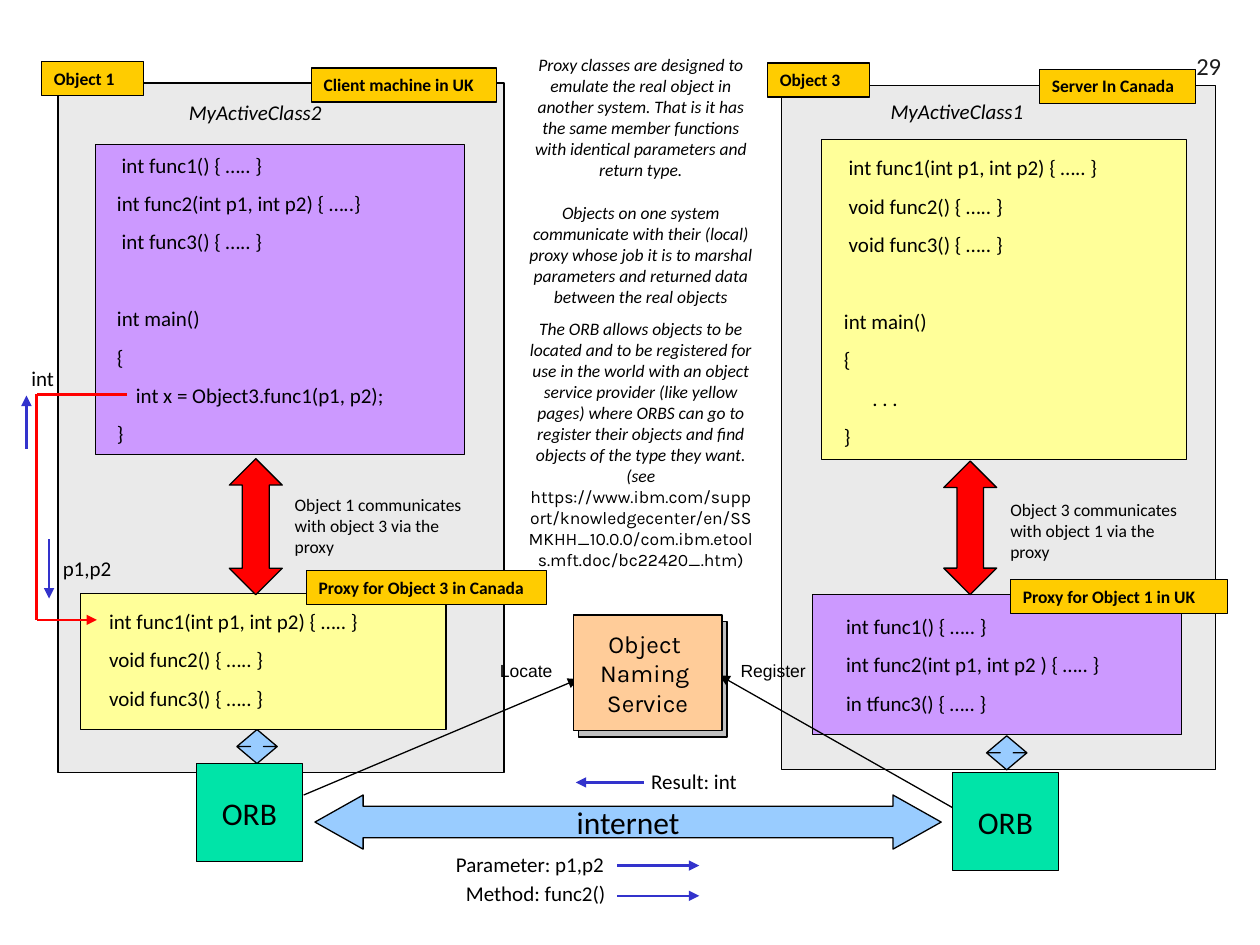
from pptx import Presentation, util as u
from pptx.dml.color import RGBColor
from pptx.enum import shapes, text
from pptx.oxml.ns import qn
from lxml import etree

BLACK = RGBColor(0x00, 0x00, 0x00)
INK = RGBColor(0x1C, 0x1C, 0x1C)
GREY = RGBColor(0xEA, 0xEA, 0xEA)
SHADE = RGBColor(0xC0, 0xC0, 0xC0)
PURPLE = RGBColor(0xCC, 0x99, 0xFF)
YELLOW = RGBColor(0xFF, 0xFF, 0x99)
GOLD = RGBColor(0xFF, 0xCC, 0x00)
SKY = RGBColor(0x99, 0xCC, 0xFF)
RED = RGBColor(0xFF, 0x00, 0x00)
GREEN = RGBColor(0x00, 0xE4, 0xA8)
BLUE = RGBColor(0x33, 0x33, 0xCC)
PEACH = RGBColor(0xFF, 0xCC, 0x99)

COLUMNS, ROWS = 100, 75
SHAPE = shapes.MSO_SHAPE
LEFT, CENTER, RIGHT = text.PP_ALIGN.LEFT, text.PP_ALIGN.CENTER, text.PP_ALIGN.RIGHT
TOP, MIDDLE, BOTTOM = text.MSO_ANCHOR.TOP, text.MSO_ANCHOR.MIDDLE, text.MSO_ANCHOR.BOTTOM


class Diagram:
    """Style and current slide; all lengths are in grid columns and rows."""

    font = "Calibri"
    spacing = 0.625  # space before a paragraph, as a share of the text size

    def __init__(self, presentation):
        self.column = presentation.slide_width / COLUMNS
        self.row = presentation.slide_height / ROWS
        self.slide = presentation.slides.add_slide(presentation.slide_layouts[6])

    def place(self, *lengths):
        units = (self.column, self.row) * 2
        return [u.Emu(round(length * unit)) for length, unit in zip(lengths, units)]

    def style(self, font, size, name=None, color=BLACK, bold=False, italic=False):
        font.name, font.size = name or self.font, u.Pt(size)
        font.bold, font.italic = bold, italic
        font.color.rgb = color

    def fill_text(self, shape, lines, size, align=LEFT, anchor=TOP, wrap=True, gaps=None, **look):
        frame = shape.text_frame
        frame.word_wrap, frame.vertical_anchor = wrap, anchor
        if anchor == TOP:
            frame.auto_size = text.MSO_AUTO_SIZE.SHAPE_TO_FIT_TEXT
        for index, line in enumerate(lines):
            paragraph = frame.add_paragraph() if index else frame.paragraphs[0]
            paragraph.text = line
            paragraph.alignment = align
            if index:
                paragraph.space_before = u.Pt((gaps or {}).get(index, size * self.spacing))
            self.style(paragraph.font, size, **look)

    def label(self, area, *lines, size=12, **options):
        shape = self.slide.shapes.add_textbox(*self.place(*area))
        self.fill_text(shape, lines, size, **options)
        return shape

    def box(self, area, fill, kind=SHAPE.RECTANGLE, adjustments=()):
        shape = self.slide.shapes.add_shape(kind, *self.place(*area))
        shape.shadow.inherit = False
        shape.fill.solid()
        shape.fill.fore_color.rgb = fill
        shape.line.color.rgb, shape.line.width = BLACK, u.Pt(0.75)
        for index, value in enumerate(adjustments):
            shape.adjustments[index] = value
        return shape

    def tag(self, left, top, width, caption):
        self.fill_text(self.box((left, top, width, 2.7), GOLD), [caption], 10, bold=True)

    def node(self, area, fill, caption, size=18, name=None, **options):
        shape = self.box(area, fill, **options)
        self.fill_text(shape, [caption], size, CENTER, MIDDLE, wrap=False, name=name)
        return shape

    def line(self, start, end, color, width=1.5, arrow=True):
        connector = self.slide.shapes.add_connector(
            shapes.MSO_CONNECTOR.STRAIGHT, *self.place(*start, *end))
        connector.line.color.rgb, connector.line.width = color, u.Pt(width)
        properties = connector._element.spPr
        if arrow:
            etree.SubElement(properties.find(qn("a:ln")), qn("a:tailEnd"), type="triangle")
        etree.SubElement(properties, qn("a:effectLst"))
        return connector


def main():
    presentation = Presentation()
    presentation.slide_width, presentation.slide_height = u.Inches(10), u.Inches(7.5)
    diagram = Diagram(presentation)
    diagram.label((77.1, 1.9, 20.8, 5), "29", size=14, align=RIGHT, anchor=BOTTOM, color=INK)

    # Machines
    for area in ((62, 6.8, 34.5, 54.3), (4.6, 6.6, 35.4, 54.7)):
        diagram.box(area, GREY)

    # Real objects; the gap leaves one line free before main()
    main_gap = {3: 29.6}
    diagram.box((7.6, 11.5, 29.3, 24.6), PURPLE)
    diagram.label((8.3, 11.6, 34.2, 24.3),
                  " int func1() { ….. }", "int func2(int p1, int p2) { …..}",
                  " int func3() { ….. }", "int main()", "{",
                  "    int x = Object3.func1(p1, p2);", "}", gaps=main_gap)
    diagram.box((65.2, 11.1, 29, 25.4), YELLOW)
    diagram.label((66, 11.8, 31.3, 24.3),
                  " int func1(int p1, int p2) { ….. }", " void func2() { ….. }",
                  " void func3() { ….. }", "int main()", "{", "      . . .", "}", gaps=main_gap)
    diagram.label((14, 7.4, 19, 3), "MyActiveClass2", italic=True)
    diagram.label((69.7, 7.3, 19, 3), "MyActiveClass1", italic=True)

    # Proxies
    diagram.box((6.4, 47.1, 29, 10.8), YELLOW)
    diagram.label((7.3, 47.8, 31.3, 9.1), " int func1(int p1, int p2) { ….. }",
                  " void func2() { ….. }", " void func3() { ….. }")
    diagram.box((64.5, 47.2, 29.3, 11.1), PURPLE)
    diagram.label((65.8, 48.2, 29.9, 9.1), " int func1() { ….. }",
                  " int func2(int p1, int p2 ) { ….. }", " in tfunc3() { ….. }")

    # Name tags
    for tag in ((60.9, 5, 8.1, "Object 3"), (3.3, 4.9, 8.1, "Object 1"),
                (80.2, 46, 17.2, "Proxy for Object 1 in UK"),
                (24.3, 45.3, 19.1, "Proxy for Object 3 in Canada"),
                (24.7, 5.4, 14.7, "Client machine in UK"),
                (82.5, 5.5, 12.4, "Server In Canada")):
        diagram.tag(*tag)

    # Links between objects, proxies and brokers
    diagram.node((25, 63.1, 49.7, 4.3), SKY, "internet",
                 kind=SHAPE.LEFT_RIGHT_ARROW, adjustments=(0.58, 0.89))
    for area, fill, adjustments in (((18.2, 36.4, 4.2, 10.8), RED, (0.5, 0.51)),
                                    ((74.9, 36.6, 4.2, 10.6), RED, (0.5, 0.5)),
                                    ((18.8, 57.9, 3.2, 2.7), SKY, (0.35, 0.32)),
                                    ((78.3, 58.4, 3.2, 2.7), SKY, (0.35, 0.32))):
        diagram.box(area, fill, SHAPE.UP_DOWN_ARROW, adjustments)
    for area, own, other in (((22.4, 38.7, 15.9, 6), 1, 3), ((79.2, 39.1, 15.4, 6), 3, 1)):
        diagram.label(area, f"Object {own} communicates with object {other} via the proxy", size=10)
    for left, top in ((15.6, 60.6), (75.6, 61.3)):
        diagram.node((left, top, 8.4, 7.8), GREEN, "ORB")

    # Explanation, ending in a web address
    explanation = diagram.label(
        (40.8, 3.8, 20.1, 42),
        "Proxy classes are designed to emulate the real object in another system. That is it has "
        "the same member functions with identical parameters and return type.",
        "Objects on one system communicate with their (local) proxy whose job it is to marshal "
        "parameters and returned data between the real objects",
        "The ORB allows objects to be located and to be registered for use in the world with an "
        "object service provider (like yellow pages) where ORBS can go to register their objects "
        "and find objects of the type they want. (see ",
        size=10, align=CENTER, italic=True, gaps={1: 12.2})
    address = explanation.text_frame.paragraphs[-1].add_run()
    address.text = ("https://www.ibm.com/support/knowledgecenter/en/"
                    "SSMKHH_10.0.0/com.ibm.etools.mft.doc/bc22420_.htm)")
    diagram.style(address.font, 10, name="Karla")

    # Path of the call from object 1 to its proxy
    diagram.line((10.1, 31.3), (2.9, 31.3), RED, arrow=False)
    diagram.line((2.9, 31.3), (2.9, 49.2), RED, arrow=False)
    diagram.line((2.9, 49.2), (7.7, 49.2), RED)

    # Values that travel, each with its arrow
    for area, caption, start, end in (
            ((4, 43.6, 6.7, 3), "p1,p2", (3.9, 42.8), (3.9, 47.5)),
            ((1.5, 28.5, 5.9, 3), "int", (2.1, 35.6), (2.1, 31.4)),
            ((35.2, 67.1, 14.8, 3), "Parameter: p1,p2", (49, 68.7), (55.5, 68.7)),
            ((50.7, 60.5, 10.1, 3), "Result: int", (51.1, 62.1), (45.7, 62.1)),
            ((36, 69.4, 14.7, 3), "Method: func2()", (49, 71.1), (55.5, 71.1))):
        diagram.line(start, end, BLUE)
        diagram.label(area, caption)

    # Naming service
    backing = diagram.box((45.9, 49.3, 11.8, 9.2), SHADE)
    locate = diagram.line((24.1, 63.1), (45.9, 53.9), BLACK, 0.75)
    locate.end_connect(backing, 1)
    diagram.line((75.6, 64.1), (57.1, 53.6), BLACK, 0.75)
    diagram.label((38.7, 51.9, 6.3, 2.7), "Locate", size=10, name="Arial")
    diagram.label((57.8, 51.9, 7.5, 2.7), "Register", size=10, name="Arial")
    diagram.node((45.5, 48.8, 11.8, 9.2), PEACH, "Object \vNaming \vService", 14, "Karla")

    presentation.save("out.pptx")


if __name__ == "__main__":
    main()
